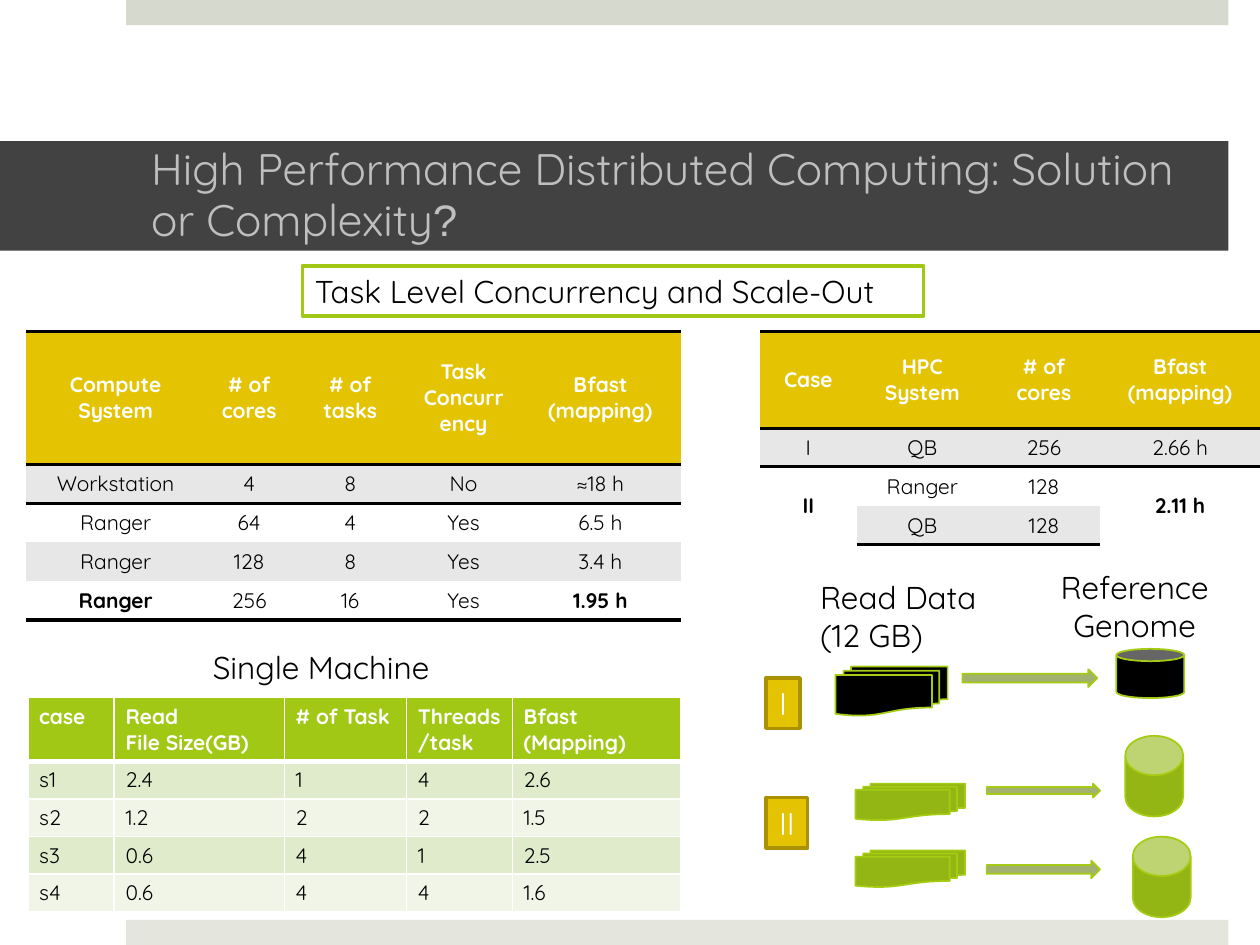
from pptx import Presentation
from pptx.dml.color import RGBColor
from pptx.enum.shapes import MSO_SHAPE
from pptx.enum.text import MSO_ANCHOR, MSO_AUTO_SIZE, PP_ALIGN
from pptx.oxml import parse_xml
from pptx.oxml.ns import nsdecls
from pptx.util import Pt

BLACK = RGBColor(0x00, 0x00, 0x00)
WHITE = RGBColor(0xFF, 0xFF, 0xFF)
CHARCOAL = RGBColor(0x42, 0x42, 0x42)
SILVER = RGBColor(0xBF, 0xBF, 0xBF)
TOP_BAR = RGBColor(0xD6, 0xD9, 0xCD)
BOTTOM_BAR = RGBColor(0xE4, 0xE6, 0xDE)
GOLD = RGBColor(0xE4, 0xC4, 0x02)
DARK_GOLD = RGBColor(0xA9, 0x91, 0x01)
GRAY = RGBColor(0xE7, 0xE7, 0xE7)
LIME = RGBColor(0xA2, 0xC8, 0x16)
OUTLINE = RGBColor(0xA5, 0xCC, 0x12)
GREEN = RGBColor(0x93, 0xB6, 0x14)
ARROW = RGBColor(0xA2, 0xB1, 0x70)
PALE_LIME = RGBColor(0xE0, 0xEB, 0xCC)
PALEST_LIME = RGBColor(0xF0, 0xF5, 0xE8)

FONT = "Quicksand"
NO_GRID_STYLE = "{2D5ABB26-0587-4C30-8999-92F81FD0307C}"

TITLE = "High Performance Distributed Computing: Solution or Complexity"

CONCURRENCY = {
    "at": (15.1, 189.2), "columns": (102, 50.6, 64.8, 64.8, 91.6),
    "header_height": 76.2, "row_height": 22.2,
    "rows": [
        ("Compute System", "# of cores", "# of tasks", "Task Concurrency", "Bfast (mapping)"),
        ("Workstation", "4", "8", "No", "≈18 h"),
        ("Ranger", "64", "4", "Yes", "6.5 h"),
        ("Ranger", "128", "8", "Yes", "3.4 h"),
        ("Ranger", "256", "16", "Yes", "1.95 h"),
    ],
    "bold": {(4, 0), (4, 4)}, "merges": [],
}
SCALE_OUT = {
    "at": (434.2, 189.2), "columns": (55.4, 74.9, 64.1, 91.6),
    "header_height": 55.4, "row_height": 22.2,
    "rows": [
        ("Case", "HPC System", "# of cores", "Bfast (mapping)"),
        ("I", "QB", "256", "2.66 h"),
        ("II", "Ranger", "128", "2.11 h"),
        ("", "QB", "128", ""),
    ],
    "bold": {(2, 0), (2, 3)}, "merges": [(2, 0, 3, 0), (2, 3, 3, 3)],
}
SINGLE_MACHINE = {
    "at": (15.9, 398.6), "columns": (49.4, 97.2, 69.8, 60.5, 96.1),
    "header_height": 36.5, "row_height": 21.5,
    "rows": [
        ("case", "Read\nFile Size(GB)", "# of Task", "Threads/task", "Bfast\n(Mapping)"),
        ("s1", "2.4", "1", "4", "2.6"),
        ("s2", "1.2", "2", "2", "1.5"),
        ("s3", "0.6", "4", "1", "2.5"),
        ("s4", "0.6", "4", "4", "1.6"),
    ],
    "bold": set(), "merges": [],
}
RULED = {"header": GOLD, "bands": (GRAY, WHITE), "align": PP_ALIGN.CENTER,
         "anchor": MSO_ANCHOR.MIDDLE, "margins": (7.2, 3.6)}
GRID = {"header": LIME, "bands": (PALE_LIME, PALEST_LIME), "align": PP_ALIGN.LEFT,
        "anchor": MSO_ANCHOR.TOP, "margins": (6.5, 3.2)}

BARS = [((72, 0, 630, 14.4), TOP_BAR), ((72, 525.6, 630, 14.4), BOTTOM_BAR)]
DOCUMENTS, CAN, RIGHT = MSO_SHAPE.FLOWCHART_MULTIDOCUMENT, MSO_SHAPE.CAN, MSO_SHAPE.RIGHT_ARROW
FLOW = [
    (DOCUMENTS, (477.4, 380.9, 64.1, 28.1), BLACK, None),
    (RIGHT, (550, 382.5, 77, 10.1), ARROW, None),
    (CAN, (637.9, 370.8, 38.9, 28.1), BLACK, None),
    (DOCUMENTS, (488.9, 447.8, 62.6, 20.9), GREEN, None),
    (RIGHT, (563.8, 447.8, 64.8, 7.9), ARROW, None),
    (CAN, (643, 420.5, 33.1, 46.1), GREEN, 0.68),
    (DOCUMENTS, (488.9, 486, 62.6, 20.9), GREEN, None),
    (RIGHT, (563.8, 491.8, 64.8, 10.1), ARROW, None),
    (CAN, (647.3, 478.1, 33.1, 46.1), GREEN, 0.68),
]
CASE_TAGS = [("I", (437.8, 387.4, 19.4, 28.8)), ("II", (437.8, 455.8, 23.8, 28.8))]
LABELS = [
    ("Read Data\n(12 GB)", (461.5, 326.9, 111.6, 51.1), PP_ALIGN.LEFT),
    ("Reference Genome", (594.7, 321.1, 107.3, 51.1), PP_ALIGN.CENTER),
    ("Single Machine", (114.5, 366.5, 193.7, 28.8), PP_ALIGN.LEFT),
]


def write(frame, text, size=18, color=BLACK, bold=False, align=PP_ALIGN.LEFT, wrap=True):
    frame.word_wrap = wrap
    for index, line in enumerate(text.split("\n")):
        paragraph = frame.paragraphs[0] if index == 0 else frame.add_paragraph()
        paragraph.alignment = align
        run = paragraph.add_run()
        run.text = line
        run.font.name, run.font.size, run.font.bold = FONT, Pt(size), bold
        run.font.color.rgb = color


def points(box):
    return [Pt(value) for value in box]


def add_figure(slide, kind, box, fill, line=None, width=1):
    shape = slide.shapes.add_shape(kind, *points(box))
    shape.shadow.inherit = False
    shape.fill.solid()
    shape.fill.fore_color.rgb = fill
    if line is None:
        shape.line.fill.background()
    else:
        shape.line.color.rgb = line
        shape.line.width = Pt(width)
    return shape


def set_borders(cell, borders):
    properties = cell._tc.get_or_add_tcPr()
    for index, (side, (color, width)) in enumerate(borders.items()):
        properties.insert(index, parse_xml(
            f'<a:ln{side} {nsdecls("a")} w="{Pt(width)}"><a:solidFill>'
            f'<a:srgbClr val="{color}"/></a:solidFill></a:ln{side}>'))


def cell_borders(look, row, last):
    if look is GRID:
        return {"L": (WHITE, 1), "R": (WHITE, 1), "T": (WHITE, 3 if row == 1 else 1),
                "B": (WHITE, 3 if row == 0 else 1)}
    borders = {}
    if row in (0, 1):
        borders["T"] = (BLACK, 2)
    if row in (0, last):
        borders["B"] = (BLACK, 2)
    return borders


def add_data_table(slide, data, look):
    rows, columns = data["rows"], data["columns"]
    heights = [data["header_height"]] + [data["row_height"]] * (len(rows) - 1)
    box = (*data["at"], sum(columns), sum(heights))
    table = slide.shapes.add_table(len(rows), len(columns), *points(box)).table
    table.horz_banding = False
    table._tbl.tblPr[0].text = NO_GRID_STYLE
    for column, width in zip(table.columns, columns):
        column.width = Pt(width)
    side, end = points(look["margins"])
    for row, (values, height) in enumerate(zip(rows, heights)):
        table.rows[row].height = Pt(height)
        for column, value in enumerate(values):
            cell = table.cell(row, column)
            cell.margin_left = cell.margin_right = side
            cell.margin_top = cell.margin_bottom = end
            cell.vertical_anchor = look["anchor"]
            cell.fill.solid()
            cell.fill.fore_color.rgb = look["bands"][(row - 1) % 2] if row else look["header"]
            set_borders(cell, cell_borders(look, row, len(rows) - 1))
            if value:
                write(cell.text_frame, value, size=12, color=BLACK if row else WHITE,
                      bold=row == 0 or (row, column) in data["bold"], align=look["align"])
    for top, left, bottom, right in data["merges"]:
        table.cell(top, left).merge(table.cell(bottom, right))


def add_title(slide):
    title = slide.shapes.title
    title.left, title.top, title.width, title.height = points((0, 80.6, 702, 62.6))
    title.fill.solid()
    title.fill.fore_color.rgb = CHARCOAL
    frame = title.text_frame
    frame.auto_size = MSO_AUTO_SIZE.NONE
    frame.vertical_anchor = MSO_ANCHOR.MIDDLE
    frame.margin_left, frame.margin_right = Pt(86.4), Pt(21.6)
    frame.margin_top = frame.margin_bottom = Pt(3.6)
    write(frame, TITLE, size=25.2, color=SILVER)
    paragraph = frame.paragraphs[0]
    paragraph.line_spacing = 0.95
    mark = paragraph.add_run()
    mark.text = "?"
    mark.font.name, mark.font.size = "Arial", Pt(25.2)
    mark.font.color.rgb = SILVER


def main():
    presentation = Presentation()
    presentation.slide_width, presentation.slide_height = Pt(720), Pt(540)
    slide = presentation.slides.add_slide(presentation.slide_layouts[5])
    for box, color in BARS:
        add_figure(slide, MSO_SHAPE.RECTANGLE, box, color)
    add_title(slide)
    add_data_table(slide, CONCURRENCY, RULED)
    add_data_table(slide, SCALE_OUT, RULED)
    add_data_table(slide, SINGLE_MACHINE, GRID)
    for kind, box, fill, lid in FLOW:
        shape = add_figure(slide, kind, box, fill, OUTLINE)
        if lid:
            shape.adjustments[0] = lid
    for text, box in CASE_TAGS:
        tag = add_figure(slide, MSO_SHAPE.RECTANGLE, box, GOLD, DARK_GOLD, 2)
        write(tag.text_frame, text, color=WHITE, align=PP_ALIGN.CENTER, wrap=False)
    heading = add_figure(slide, MSO_SHAPE.RECTANGLE, (172.8, 151.9, 355, 28.8), WHITE, LIME, 2)
    write(heading.text_frame, "Task Level Concurrency and Scale-Out")
    for text, box, align in LABELS:
        write(slide.shapes.add_textbox(*points(box)).text_frame, text, align=align)
    presentation.save("out.pptx")


if __name__ == "__main__":
    main()
